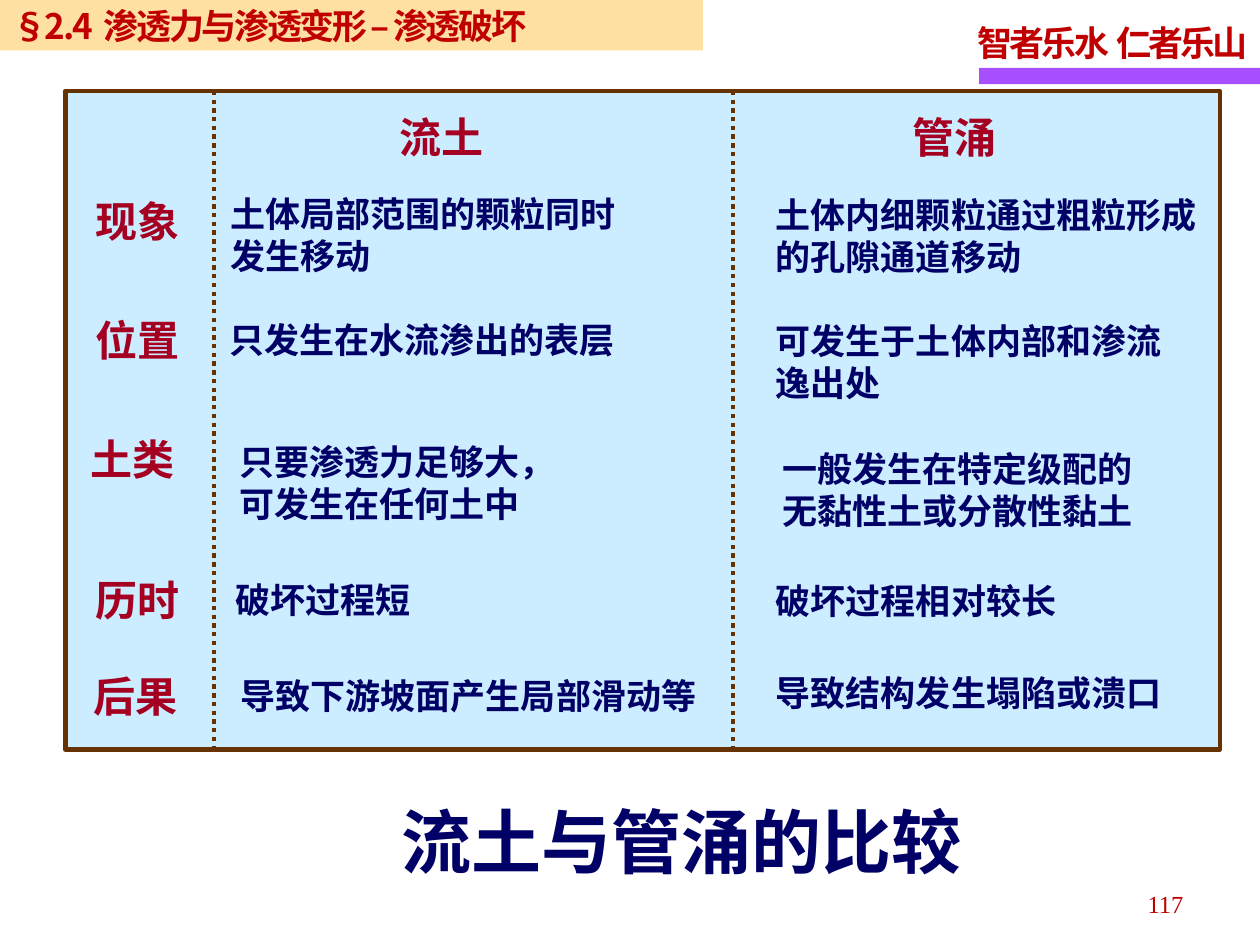
from dataclasses import dataclass

from lxml.etree import SubElement
from pptx import Presentation
from pptx.dml.color import RGBColor
from pptx.enum.dml import MSO_LINE
from pptx.enum.shapes import MSO_CONNECTOR, MSO_SHAPE
from pptx.enum.text import MSO_ANCHOR, MSO_AUTO_SIZE, PP_ALIGN
from pptx.oxml.ns import qn
from pptx.util import Cm, Pt

COLORS = {"red": "C00000", "crimson": "A50021", "navy": "000066", "brown": "663300",
          "panel": "CCECFF", "purple": "A74FFF", "amber": "FFCC66"}
SANS, SERIF = "Noto Sans CJK SC", "Times New Roman"


@dataclass
class Style:
    size: float
    color: str
    font: str = SANS
    bold: bool = True
    align: PP_ALIGN = PP_ALIGN.LEFT
    line_spacing: float = 1.0
    tracking: float = 0
    wrap: bool = True
    anchor: MSO_ANCHOR = MSO_ANCHOR.TOP


@dataclass
class Label:
    text: str
    left: float
    top: float
    width: float
    height: float
    style: Style


HEADING = Style(24, "crimson", SERIF)
DETAIL = Style(20, "navy")
CENTRED = Style(20, "navy", SERIF, align=PP_ALIGN.CENTER)
TITLE = Style(40, "navy", wrap=False, anchor=MSO_ANCHOR.MIDDLE)
MOTTO = Style(20, "red", SERIF, line_spacing=1.15, tracking=-1.7, wrap=False,
              anchor=MSO_ANCHOR.MIDDLE)
SECTION = Style(20, "red", tracking=-1.4, anchor=MSO_ANCHOR.MIDDLE)
NUMBER = Style(14, "red", SERIF, bold=False, align=PP_ALIGN.RIGHT, line_spacing=1.15)

ONE_LINE, TWO_LINES, HEADING_HEIGHT = 1.09, 1.96, 1.27
LABELS = [
    Label("智者乐水  仁者乐山", 19.46, 0.18, 5.99, 1.24, MOTTO),
    Label("流土", 7.8, 2.11, 2.39, HEADING_HEIGHT, HEADING),
    Label("管涌", 18.14, 2.11, 2.51, HEADING_HEIGHT, HEADING),
    Label("现象", 1.68, 3.81, 2.51, HEADING_HEIGHT, HEADING),
    Label("土体局部范围的颗粒同时发生移动", 4.39, 3.76, 8.96, TWO_LINES, DETAIL),
    Label("土体内细颗粒通过粗粒形成的孔隙通道移动", 15.39, 3.78, 9.37, TWO_LINES, DETAIL),
    Label("位置", 1.68, 6.22, 2.51, HEADING_HEIGHT, HEADING),
    Label("只发生在水流渗出的表层", 4.37, 6.3, 8.48, ONE_LINE, DETAIL),
    Label("可发生于土体内部和渗流逸出处", 15.39, 6.32, 8.51, TWO_LINES, DETAIL),
    Label("土类", 1.57, 8.61, 2.51, HEADING_HEIGHT, HEADING),
    Label("只要渗透力足够大，可发生在任何土中", 4.57, 8.76, 7.34, TWO_LINES, DETAIL),
    Label("一般发生在特定级配的无黏性土或分散性黏土", 15.24, 8.89, 8.13, TWO_LINES, CENTRED),
    Label("历时", 1.68, 11.46, 2.24, HEADING_HEIGHT, HEADING),
    Label("破坏过程短", 4.5, 11.53, 4.14, ONE_LINE, DETAIL),
    Label("破坏过程相对较长", 15.39, 11.56, 6.25, ONE_LINE, DETAIL),
    Label("后果", 1.63, 13.39, 2.51, HEADING_HEIGHT, HEADING),
    Label("导致下游坡面产生局部滑动等", 4.6, 13.46, 9.83, ONE_LINE, DETAIL),
    Label("导致结构发生塌陷或溃口", 15.39, 13.41, 8.46, ONE_LINE, DETAIL),
    Label("117", 18.19, 17.7, 5.92, 1.02, NUMBER),
]


def color(name: str) -> RGBColor:
    return RGBColor.from_string(COLORS[name])


def write(shape, text: str, style: Style) -> None:
    frame = shape.text_frame
    frame_format = {"word_wrap": style.wrap, "auto_size": MSO_AUTO_SIZE.NONE,
                    "vertical_anchor": style.anchor,
                    "margin_left": Cm(0.25), "margin_right": Cm(0.25),
                    "margin_top": Cm(0.13), "margin_bottom": Cm(0.13)}
    for name, value in frame_format.items():
        setattr(frame, name, value)
    para = frame.paragraphs[0]
    para.alignment = style.align
    para.line_spacing = style.line_spacing
    span = para.add_run()
    span.text = text
    font_format = {"name": style.font, "size": Pt(style.size), "bold": style.bold}
    for name, value in font_format.items():
        setattr(span.font, name, value)
    span.font.color.rgb = color(style.color)
    properties = span.font._element
    if style.tracking:
        properties.set("spc", str(round(style.tracking * 100)))
    east_asian = properties.makeelement(qn("a:ea"), {"typeface": SANS})
    properties.find(qn("a:latin")).addnext(east_asian)


def add_label(page, label: Label) -> None:
    box = page.shapes.add_textbox(Cm(label.left), Cm(label.top),
                                  Cm(label.width), Cm(label.height))
    write(box, label.text, label.style)


def add_panel(page, left: float, top: float, width: float, height: float, fill: str):
    panel = page.shapes.add_shape(MSO_SHAPE.RECTANGLE, Cm(left), Cm(top),
                                  Cm(width), Cm(height))
    panel.shadow.inherit = False
    panel.fill.solid()
    panel.fill.fore_color.rgb = color(fill)
    panel.line.fill.background()
    return panel


def outline(line) -> None:
    line.color.rgb = color("brown")
    line.width = Pt(2.5)


def add_divider(page, x: float, top: float, bottom: float) -> None:
    divider = page.shapes.add_connector(MSO_CONNECTOR.STRAIGHT, Cm(x), Cm(top),
                                        Cm(x), Cm(bottom))
    outline(divider.line)
    divider.line.dash_style = MSO_LINE.ROUND_DOT
    SubElement(divider._element.spPr, qn("a:effectLst"))


def add_title(page) -> None:
    title = page.shapes.title
    place = {"left": 7.85, "top": 15.88, "width": 12.73, "height": 2.13}
    for name, value in place.items():
        setattr(title, name, Cm(value))
    write(title, "流土与管涌的比较", TITLE)


def add_section_banner(page) -> None:
    banner = add_panel(page, 0, 0, 14.17, 1.02, "amber")
    fill_color = banner.fill._xPr.find(qn("a:solidFill"))[0]
    SubElement(fill_color, qn("a:alpha"), val="60000")
    write(banner, "§2.4  渗透力与渗透变形 – 渗透破坏", SECTION)


def main() -> None:
    deck = Presentation()
    deck.slide_width, deck.slide_height = Cm(25.4), Cm(19.05)
    page = deck.slides.add_slide(deck.slide_layouts[5])
    add_panel(page, 19.74, 1.37, 5.66, 0.33, "purple")
    outline(add_panel(page, 1.32, 1.83, 23.27, 13.28, "panel").line)
    for x in (4.32, 14.78):
        add_divider(page, x, 1.83, 15.09)
    add_title(page)
    for label in LABELS:
        add_label(page, label)
    add_section_banner(page)
    deck.save("out.pptx")


if __name__ == "__main__":
    main()
